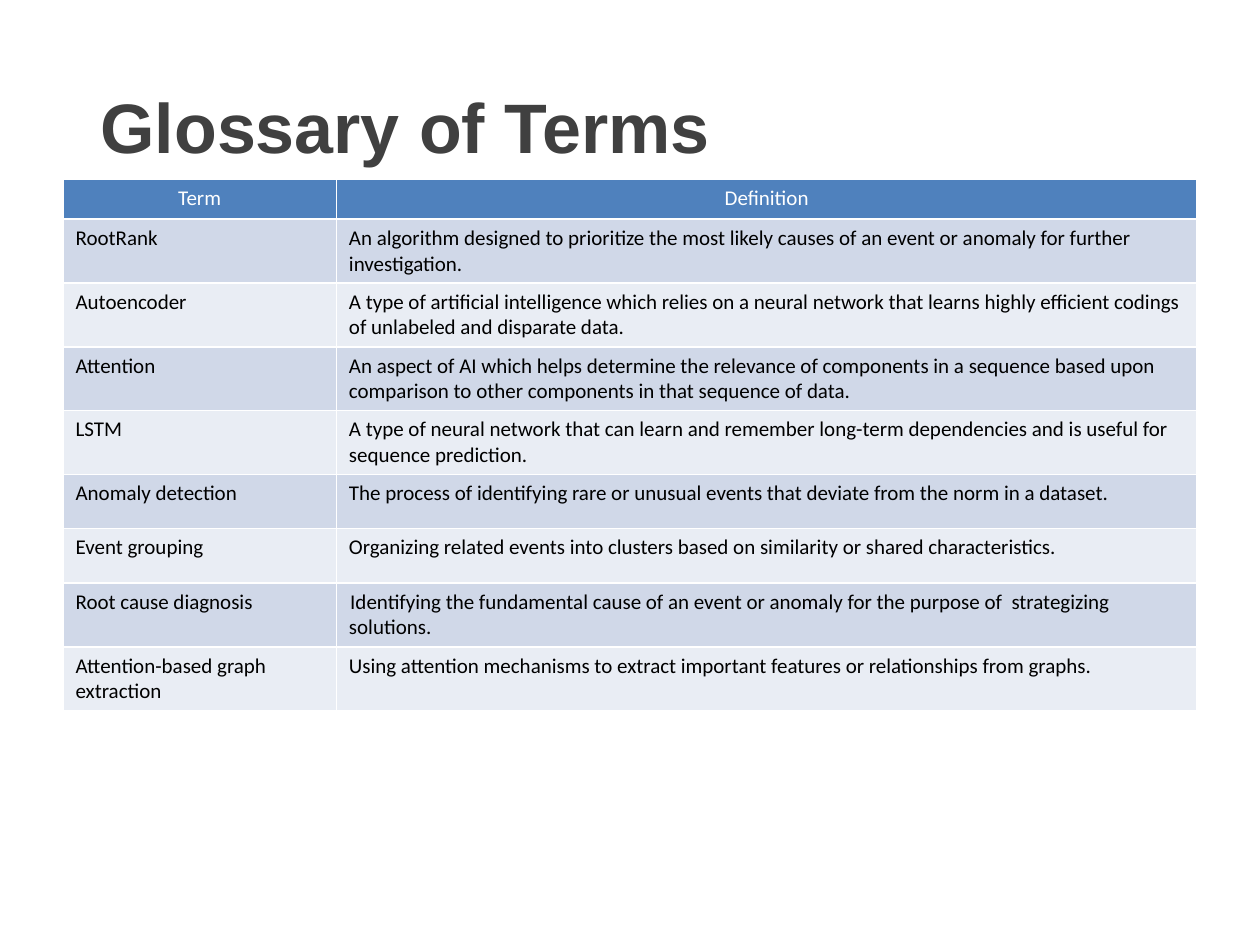
from dataclasses import dataclass

from pptx import Presentation
from pptx.dml.color import RGBColor
from pptx.enum.text import MSO_ANCHOR, PP_ALIGN
from pptx.util import Inches, Pt


@dataclass(frozen=True)
class Theme:
    title_font: str = "Arial"
    body_font: str = "Calibri"
    title_size: int = 40
    body_size: int = 12
    title_color: str = "404040"
    header_text: str = "FFFFFF"
    body_text: str = "000000"
    header_fill: str = "4F81BD"
    band_fills: tuple = ("D0D8E8", "E9EDF4")


theme = Theme()


def style_text(paragraph, font_name, size, color, bold=False):
    for run in paragraph.runs:
        run.font.name = font_name
        run.font.size = Pt(size)
        run.font.bold = bold
        run.font.color.rgb = RGBColor.from_string(color)


entries = [
    ("Term", "Definition"),
    ("RootRank", "An algorithm designed to prioritize the most likely causes of an event "
     "or anomaly for further investigation."),
    ("Autoencoder", "A type of artificial intelligence which relies on a neural network that "
     "learns highly efficient codings of unlabeled and disparate data."),
    ("Attention", "An aspect of AI which helps determine the relevance of components in a "
     "sequence based upon comparison to other components in that sequence of data."),
    ("LSTM", "A type of neural network that can learn and remember long-term dependencies "
     "and is useful for sequence prediction."),
    ("Anomaly detection", "The process of identifying rare or unusual events that deviate "
     "from the norm in a dataset."),
    ("Event grouping", "Organizing related events into clusters based on similarity or "
     "shared characteristics."),
    ("Root cause diagnosis", "Identifying the fundamental cause of an event or anomaly for "
     "the purpose of  strategizing solutions."),
    ("Attention-based graph extraction", "Using attention mechanisms to extract important "
     "features or relationships from graphs."),
]
column_widths = [2.17, 6.83]
row_heights = [0.32, 0.32, 0.34, 0.43, 0.32] + [0.43] * 4

presentation = Presentation()
presentation.slide_width = Inches(10)
presentation.slide_height = Inches(7.5)
slide = presentation.slides.add_slide(presentation.slide_layouts[6])

# Glossary table; its default style draws the white cell borders
glossary = slide.shapes.add_table(
    len(entries), len(column_widths), Inches(0.5), Inches(1.42),
    Inches(sum(column_widths)), Inches(sum(row_heights))).table
for column, width in zip(glossary.columns, column_widths):
    column.width = Inches(width)

for row_index, (entry, height) in enumerate(zip(entries, row_heights)):
    glossary.rows[row_index].height = Inches(height)
    is_header = row_index == 0
    fill = theme.header_fill if is_header else theme.band_fills[(row_index - 1) % 2]
    color = theme.header_text if is_header else theme.body_text
    for column_index, wording in enumerate(entry):
        cell = glossary.cell(row_index, column_index)
        cell.fill.solid()
        cell.fill.fore_color.rgb = RGBColor.from_string(fill)
        cell.text_frame.text = wording
        paragraph = cell.text_frame.paragraphs[0]
        paragraph.alignment = PP_ALIGN.CENTER if is_header else PP_ALIGN.LEFT
        style_text(paragraph, theme.body_font, theme.body_size, color)

# The root cause definition has a slight first-line indent
root_cause = glossary.cell(7, 1).text_frame.paragraphs[0]
root_cause._p.get_or_add_pPr().set("indent", str(Inches(0.01)))

# Title
title = slide.shapes.add_textbox(
    Inches(0.7), Inches(0.55), Inches(8.61), Inches(1.15)).text_frame
title.word_wrap = True
title.vertical_anchor = MSO_ANCHOR.TOP
title.margin_top = Inches(0.11)
title.text = "Glossary of Terms"
style_text(title.paragraphs[0], theme.title_font, theme.title_size, theme.title_color, bold=True)

presentation.save("out.pptx")
